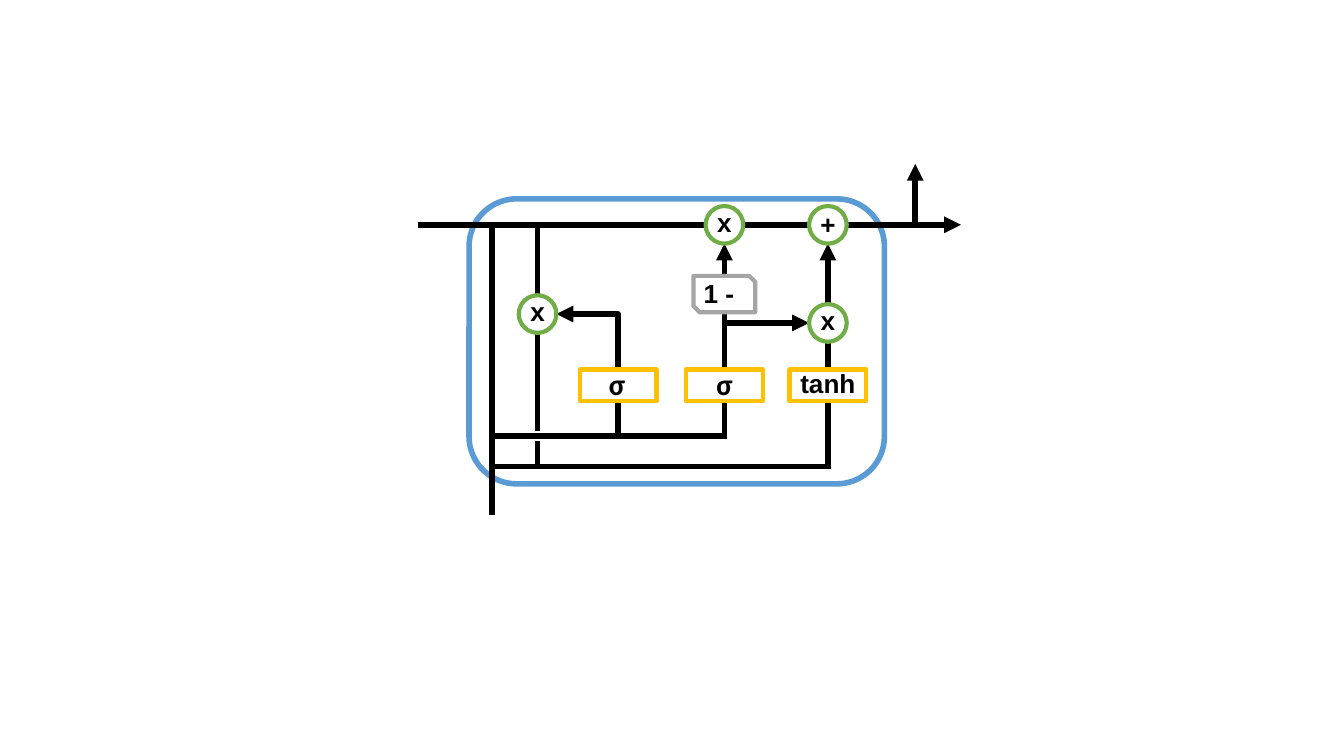
import pptx
import pptx.util
import pptx.dml.color
import pptx.enum.shapes
import pptx.enum.text
import pptx.oxml
import pptx.oxml.ns

WIDE = 10
HIGH = WIDE * 9 / 16
UNIT = WIDE / 100  # one grid step
KIND = pptx.enum.shapes.MSO_SHAPE
LINK = pptx.enum.shapes.MSO_CONNECTOR

# Grid columns and rows, counted from the cell's top left corner
TRUNK, RESET, GATE, KEEP, CAND, OUT = 1.7, 5.1, 11.1, 19, 26.7, 33.2
STATE, LOOP, MIX, BUS, LOW = 1.93, 8.57, 9.23, 17.65, 19.9
TOP, BASE = 12.7, 15.05  # upper and lower edge of the gate boxes
ROUND = 1.4  # radius of a circle
SNIP, SNAP = 5.73, 8.43  # upper and lower edge of the snipped box

WIRES = [  # x1, y1, x2, y2, arrow
    (CAND + ROUND, STATE, 36.6, STATE, True),
    (OUT, STATE, OUT, -2.6, True),
    (KEEP, TOP, KEEP, SNAP, False),
    (KEEP, MIX, CAND - ROUND, MIX, True),
    (CAND, TOP, CAND, MIX + ROUND, False),
    (CAND, MIX - ROUND, CAND, STATE + ROUND, True),
    (KEEP, SNIP, KEEP, STATE + ROUND, True),
    (KEEP - ROUND, STATE, -3.8, STATE, False),
    (KEEP + ROUND, STATE, CAND - ROUND, STATE, False),
    (TRUNK, BUS, KEEP + 0.2, BUS, False),
    (TRUNK, 23.5, TRUNK, STATE, False),
    (RESET, LOOP - ROUND, RESET, STATE, False),
    (RESET, LOOP + ROUND, RESET, BUS - 0.35, False),
    (RESET, LOW, RESET, BUS + 0.35, False),
    (TRUNK, LOW, CAND + 0.2, LOW, False),
    (GATE, BASE, GATE, BUS, False),
    (KEEP, BASE, KEEP, BUS, False),
    (CAND, BASE, CAND, LOW, False),
]
NODES = [(KEEP, STATE), (CAND, STATE), (CAND, MIX), (RESET, LOOP)]
LABELS = [  # text, centre x, centre y, width
    ("x", CAND, MIX - 0.2, 3.1),
    ("x", RESET, LOOP - 0.2, 3.1),
    ("x", KEEP, STATE - 0.2, 3.1),
    ("+", CAND, STATE, 3.2),
    ("1 -", KEEP - 0.4, 7.05, 4.3),
    ("σ", GATE - 0.1, 13.7, 3.2),
    ("σ", KEEP, 13.7, 3.2),
    ("tanh", CAND, 13.75, 6.1),
]


def tint(code):
    return pptx.dml.color.RGBColor.from_string(code)


def steps(*counts):
    return [pptx.util.Inches(n * UNIT) for n in counts]


def style(line, code, size):
    line.color.rgb = tint(code)
    line.width = pptx.util.Pt(size)


def frame(parts, box, kind, code, size=2.25):
    """Add an unfilled outline shape."""
    shape = parts.add_shape(kind, *steps(*box))
    shape.shadow.inherit = False
    shape.fill.background()
    style(shape.line, code, size)


def wire(parts, ends, arrow=False, kind=LINK.STRAIGHT):
    link = parts.add_connector(kind, *steps(*ends))
    style(link.line, "000000", 3)
    props = link._element.spPr
    if arrow:
        head = pptx.oxml.parse_xml(
            f'<a:tailEnd {pptx.oxml.ns.nsdecls("a")} type="triangle"/>')
        props.find(pptx.oxml.ns.qn("a:ln")).append(head)
    props.append(pptx.oxml.parse_xml(
        f'<a:effectLst {pptx.oxml.ns.nsdecls("a")}/>'))
    return link


def bend(parts, x1, y1, x2, y2):
    """Add an arrow that goes up from the start, then left to the end."""
    midx, midy = (x1 + x2) / 2, (y1 + y2) / 2
    halfw, halfh = (y1 - y2) / 2, (x1 - x2) / 2  # swapped by the quarter turn
    link = wire(parts, (midx - halfw, midy + halfh, midx + halfw, midy - halfh),
                True, LINK.ELBOW)
    props = link._element.spPr
    props.find(pptx.oxml.ns.qn("a:prstGeom")).set("prst", "bentConnector2")
    props.find(pptx.oxml.ns.qn("a:xfrm")).set("rot", "16200000")


def label(parts, text, x, y, wide):
    greek = text == "σ"
    tall = 3.9 if greek else 3.4
    box = parts.add_textbox(*steps(x - wide / 2, y - tall / 2, wide, tall))
    box.text_frame.word_wrap = False
    box.text_frame.auto_size = pptx.enum.text.MSO_AUTO_SIZE.SHAPE_TO_FIT_TEXT
    para = box.text_frame.paragraphs[0]
    para.alignment = pptx.enum.text.PP_ALIGN.CENTER
    if greek:
        para.line_spacing, para.space_after = 1.07, pptx.util.Pt(8)
    run = para.add_run()
    run.text = text
    look = {"name": "Calibri" if greek else "Arial",
            "size": pptx.util.Pt(16 if greek else 14), "bold": True}
    for key, value in look.items():
        setattr(run.font, key, value)
    run.font.color.rgb = tint("000000")


def cell(slide, left, top, wide, tall):
    """Draw the gated recurrent cell in the given box."""
    parts = slide.shapes.add_group_shape().shapes
    frame(parts, (left, top, wide, tall), KIND.ROUNDED_RECTANGLE, "5B9BD5", 3)
    for x1, y1, x2, y2, arrow in WIRES:
        wire(parts, (left + x1, top + y1, left + x2, top + y2), arrow)
    bend(parts, left + GATE, top + TOP, left + RESET + ROUND, top + LOOP)
    for x in (GATE, KEEP, CAND):
        frame(parts, (left + x - 2.85, top + TOP, 5.7, BASE - TOP),
              KIND.RECTANGLE, "FFC000")
    for x, y in NODES:
        frame(parts, (left + x - ROUND, top + y - ROUND, 2 * ROUND, 2 * ROUND),
              KIND.OVAL, "70AD47")
    frame(parts, (left + KEEP - 2.3, top + SNIP, 4.6, SNAP - SNIP),
          KIND.SNIP_2_DIAG_RECTANGLE, "A5A5A5")
    for text, x, y, size in LABELS:
        label(parts, text, left + x, top + y, size)


def main():
    deck = pptx.Presentation()
    deck.slide_width = pptx.util.Inches(WIDE)
    deck.slide_height = pptx.util.Inches(HIGH)
    slide = deck.slides.add_slide(deck.slide_layouts[6])
    cell(slide, 34.9, 14.8, 30.9, 21.2)
    deck.save("out.pptx")


if __name__ == "__main__":
    main()
